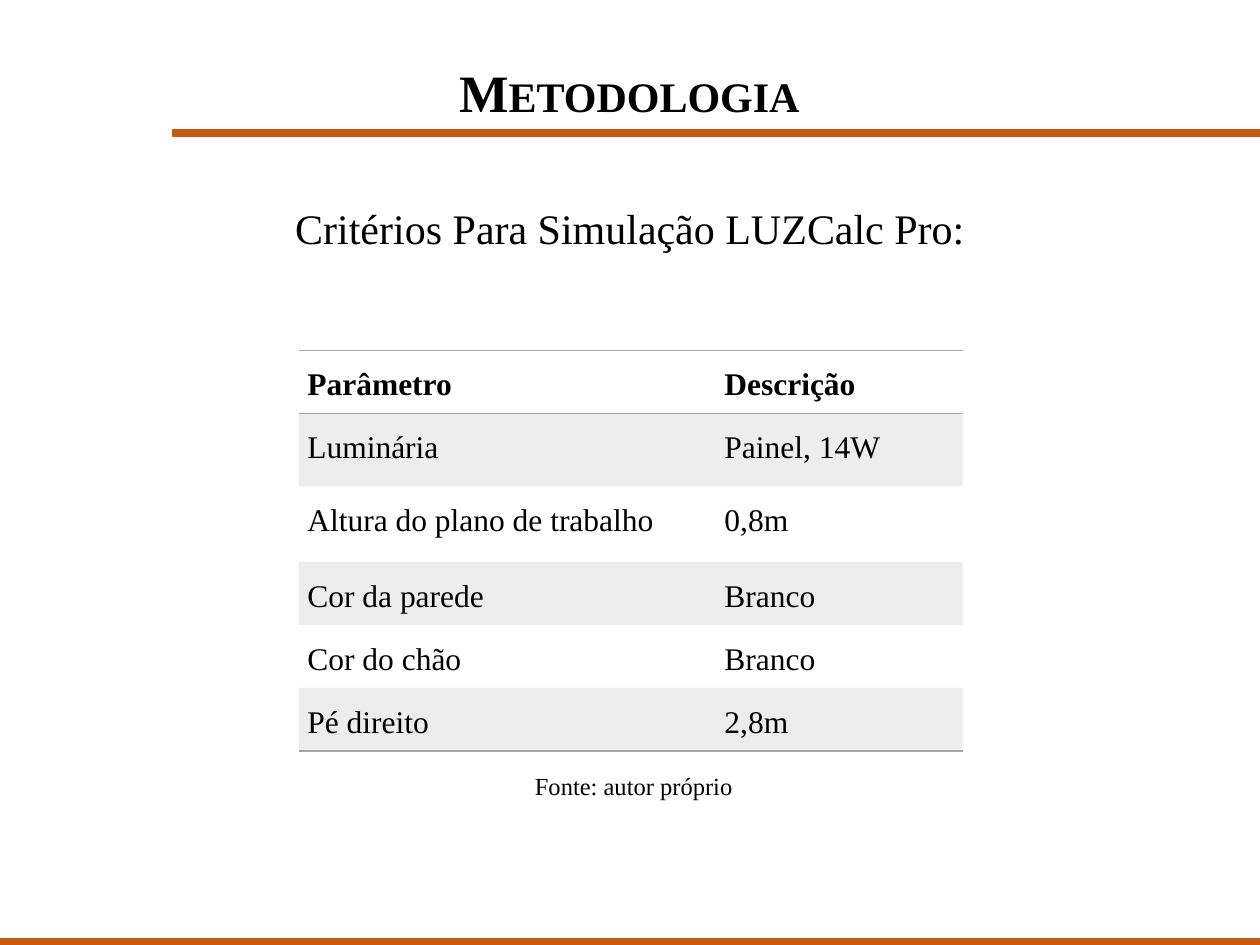
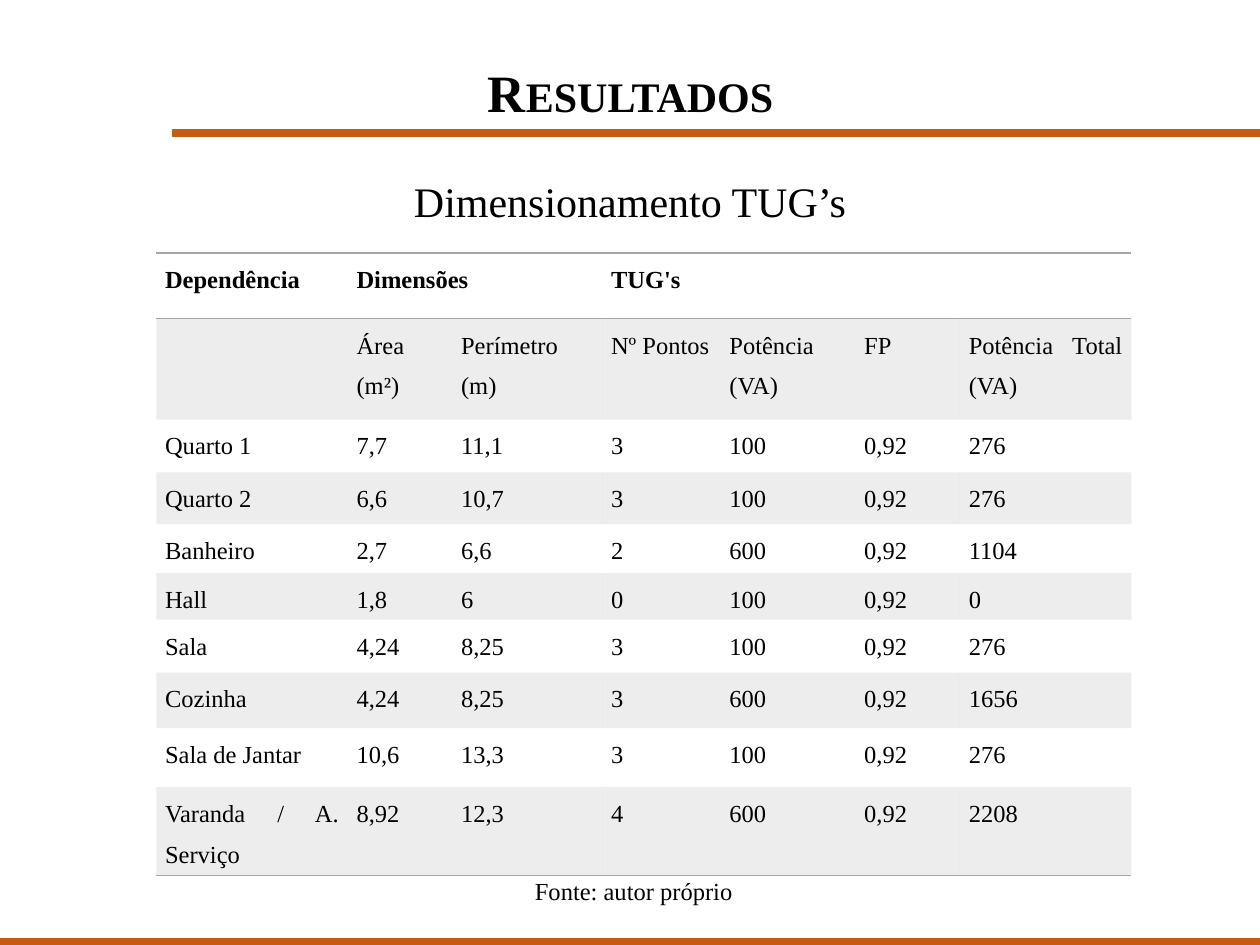
from dataclasses import dataclass

from lxml import etree
from pptx import Presentation
from pptx import util as u
from pptx.dml.color import RGBColor
from pptx.enum import shapes, text
from pptx.oxml.ns import qn


# Theme: colours, type sizes and table look
@dataclass(frozen=True)
class Theme:
    font: str = "Times New Roman"
    ink: str = "000000"
    accent: str = "C55A11"
    rule: str = "A5A5A5"
    band_alpha: int = 20000
    title: int = 30
    heading: int = 24
    caption: int = 14
    line: int = 1
    plain_table: str = "{2D5ABB26-0587-4C30-8999-92F81FD0307C}"


THEME = Theme()


# Grid of 100 columns by 75 rows over the slide
COLUMNS, ROWS = 100, 75
SLIDE_WIDTH, SLIDE_HEIGHT = u.Inches(10), u.Inches(7.5)


def across(columns: float) -> int:
    return round(SLIDE_WIDTH * columns / COLUMNS)


def down(rows: float) -> int:
    return round(SLIDE_HEIGHT * rows / ROWS)


@dataclass(frozen=True)
class Box:
    left: float
    top: float
    width: float
    height: float

    def place(self) -> tuple:
        return across(self.left), down(self.top), across(self.width), down(self.height)


@dataclass(frozen=True)
class TableSlide:
    title: str
    title_box: Box
    heading: str
    heading_top: float
    caption_top: float
    table_left: float
    table_top: float
    columns: tuple
    rows: tuple
    cells: tuple
    size: int
    merges: tuple = ()  # (first column, last column) in the header row


BANDS = (Box(0, 74.5, 100, 0.5), Box(13.7, 10.3, 86.3, 0.5))
CAPTION = "Fonte: autor próprio"

SLIDES = (
    TableSlide(
        title="Metodologia",
        title_box=Box(35.3, 4.3, 29.3, 6.1),
        heading="Critérios Para Simulação LUZCalc Pro:",
        heading_top=15.6,
        caption_top=60.7,
        table_left=23.7,
        table_top=27.8,
        columns=(33.1, 19.6),
        rows=(5, 5.8, 6, 5, 5, 5),
        size=18,
        cells=(
            ("Parâmetro", "Descrição"),
            ("Luminária", "Painel, 14W"),
            ("Altura do plano de trabalho", "0,8m"),
            ("Cor da parede", "Branco"),
            ("Cor do chão", "Branco"),
            ("Pé direito", "2,8m"),
        ),
    ),
    TableSlide(
        title="Resultados",
        title_box=Box(37.6, 4.3, 24.9, 6.1),
        heading="Dimensionamento TUG’s",
        heading_top=13.4,
        caption_top=69,
        table_left=12.4,
        table_top=20.1,
        columns=(15.2, 8.3, 11.9, 9.4, 10.7, 8.3, 13.6),
        rows=(5.2, 8, 4.2, 4.1, 3.9, 3.7, 4.2, 4.4, 4.7, 6.7),
        size=14,
        merges=((1, 2), (3, 6)),
        cells=(
            ("Dependência", "Dimensões", "", "TUG's", "", "", ""),
            ("", "Área (m²)", "Perímetro (m)", "Nº Pontos", "Potência (VA)", "FP",
             "Potência Total (VA)"),
            ("Quarto 1", "7,7", "11,1", "3", "100", "0,92", "276"),
            ("Quarto 2", "6,6", "10,7", "3", "100", "0,92", "276"),
            ("Banheiro", "2,7", "6,6", "2", "600", "0,92", "1104"),
            ("Hall", "1,8", "6", "0", "100", "0,92", "0"),
            ("Sala", "4,24", "8,25", "3", "100", "0,92", "276"),
            ("Cozinha", "4,24", "8,25", "3", "600", "0,92", "1656"),
            ("Sala de Jantar", "10,6", "13,3", "3", "100", "0,92", "276"),
            ("Varanda / A. Serviço", "8,92", "12,3", "4", "600", "0,92", "2208"),
        ),
    ),
)


# Text
def style_paragraph(paragraph, size: int, alignment, bold: bool = False) -> None:
    paragraph.alignment = alignment
    font = paragraph.font
    font.name, font.size, font.bold = THEME.font, u.Pt(size), bold
    font.color.rgb = RGBColor.from_string(THEME.ink)


def add_title(slide, content: TableSlide) -> None:
    title = slide.shapes.title
    title.left, title.top, title.width, title.height = content.title_box.place()
    frame = title.text_frame
    frame.text = content.title
    frame.word_wrap = False
    frame.auto_size = text.MSO_AUTO_SIZE.SHAPE_TO_FIT_TEXT
    frame.vertical_anchor = text.MSO_ANCHOR.TOP
    paragraph = frame.paragraphs[0]
    style_paragraph(paragraph, THEME.title, text.PP_ALIGN.CENTER, bold=True)
    paragraph._p.pPr.find(qn("a:defRPr")).set("cap", "small")


def add_centred_text(slide, words: str, box: Box, size: int) -> None:
    frame = slide.shapes.add_textbox(*box.place()).text_frame
    frame.word_wrap = True
    frame.auto_size = text.MSO_AUTO_SIZE.SHAPE_TO_FIT_TEXT
    frame.text = words
    style_paragraph(frame.paragraphs[0], size, text.PP_ALIGN.CENTER)


# Accent bands
def add_band(slide, box: Box) -> None:
    band = slide.shapes.add_shape(shapes.MSO_SHAPE.RECTANGLE, *box.place())
    band.shadow.inherit = False
    band.fill.solid()
    band.fill.fore_color.rgb = band.line.color.rgb = RGBColor.from_string(THEME.accent)
    band.line.width = u.Pt(THEME.line)


# Table
def shade_cell(cell) -> None:
    cell.fill.solid()
    cell.fill.fore_color.rgb = RGBColor.from_string(THEME.rule)
    colour = cell._tc.tcPr.find(f".//{qn('a:srgbClr')}")
    etree.SubElement(colour, qn("a:alpha"), val=str(THEME.band_alpha))


def rule_cell(cell, sides: tuple) -> None:
    for position, side in enumerate(sides):
        line = etree.Element(qn(f"a:ln{side}"), w=str(u.Pt(THEME.line)))
        fill = etree.SubElement(line, qn("a:solidFill"))
        etree.SubElement(fill, qn("a:srgbClr"), val=THEME.rule)
        cell._tc.get_or_add_tcPr().insert(position, line)


def format_cell(cell, words: str, size: int, bold: bool) -> None:
    cell.margin_left = cell.margin_right = u.Inches(0.07)
    cell.margin_top = cell.margin_bottom = 0
    cell.text = words
    paragraph = cell.text_frame.paragraphs[0]
    paragraph.line_spacing = 1.5
    paragraph.space_after = u.Pt(6)
    style_paragraph(paragraph, size, text.PP_ALIGN.JUSTIFY, bold)


def add_ruled_table(slide, content: TableSlide) -> None:
    box = Box(content.table_left, content.table_top, sum(content.columns), sum(content.rows))
    table = slide.shapes.add_table(len(content.rows), len(content.columns), *box.place()).table
    table.horz_banding = False
    table._tbl.tblPr.find(qn("a:tableStyleId")).text = THEME.plain_table
    for column, width in zip(table.columns, content.columns):
        column.width = across(width)
    for row, height in zip(table.rows, content.rows):
        row.height = down(height)

    last_row = len(content.rows) - 1
    for row_index, row_words in enumerate(content.cells):
        for column_index, words in enumerate(row_words):
            cell = table.cell(row_index, column_index)
            format_cell(cell, words, content.size, bold=row_index == 0)
            if row_index % 2:
                shade_cell(cell)
            if row_index == 0:
                rule_cell(cell, ("T", "B"))
            elif row_index == last_row:
                rule_cell(cell, ("B",))
    for first, last in content.merges:
        table.cell(0, first).merge(table.cell(0, last))


def add_table_slide(presentation, content: TableSlide) -> None:
    slide = presentation.slides.add_slide(presentation.slide_layouts.get_by_name("Title Only"))
    add_title(slide, content)
    for box in BANDS:
        add_band(slide, box)
    add_centred_text(slide, content.heading, Box(9.8, content.heading_top, 80.4, 5), THEME.heading)
    add_centred_text(slide, CAPTION, Box(10.4, content.caption_top, 79.8, 3.4), THEME.caption)
    add_ruled_table(slide, content)


def main() -> None:
    presentation = Presentation()
    presentation.slide_width, presentation.slide_height = SLIDE_WIDTH, SLIDE_HEIGHT
    for content in SLIDES:
        add_table_slide(presentation, content)
    presentation.save("out.pptx")


if __name__ == "__main__":
    main()
